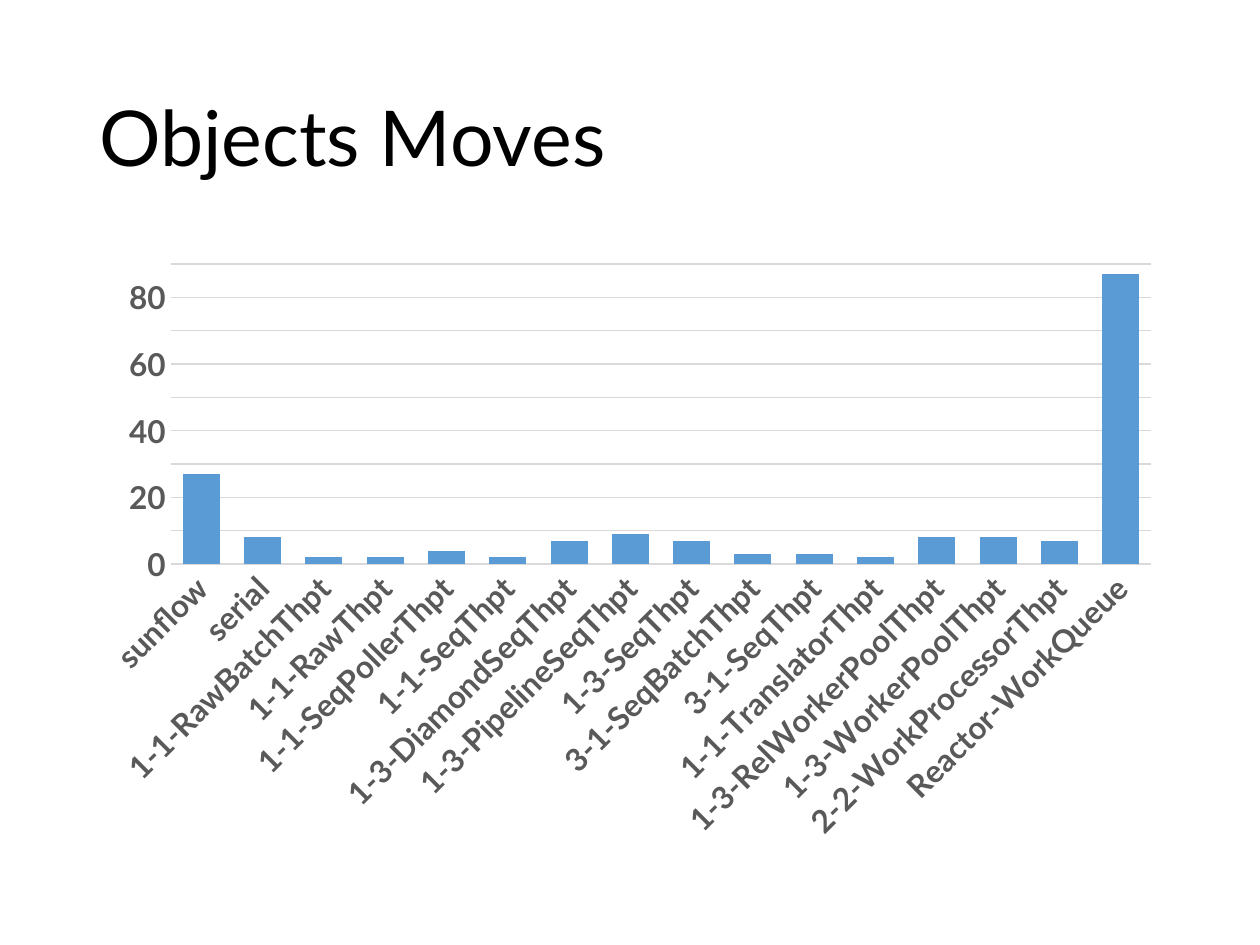
from pptx import Presentation
from pptx.chart.data import CategoryChartData
from pptx.dml.color import RGBColor
from pptx.enum.chart import XL_CHART_TYPE, XL_TICK_MARK
from pptx.enum.text import MSO_ANCHOR, PP_ALIGN
from pptx.util import Cm, Pt

TITLE = "Objects Moves"
MOVES = {
    "sunflow": 27,
    "serial": 8,
    "1-1-RawBatchThpt": 2,
    "1-1-RawThpt": 2,
    "1-1-SeqPollerThpt": 4,
    "1-1-SeqThpt": 2,
    "1-3-DiamondSeqThpt": 7,
    "1-3-PipelineSeqThpt": 9,
    "1-3-SeqThpt": 7,
    "3-1-SeqBatchThpt": 3,
    "3-1-SeqThpt": 3,
    "1-1-TranslatorThpt": 2,
    "1-3-RelWorkerPoolThpt": 8,
    "1-3-WorkerPoolThpt": 8,
    "2-2-WorkProcessorThpt": 7,
    "Reactor-WorkQueue": 87,
}
FONT = "Lato"
BLACK, LABEL_GREY, LINE_GREY, BAR_BLUE = "000000", "595959", "D9D9D9", "5B9BD5"
LEFT, WIDTH = Cm(1.75), Cm(21.9)


def style_font(font, size, color, bold=False):
    font.name = FONT
    font.size = Pt(size)
    font.bold = bold
    font.color.rgb = RGBColor.from_string(color)


def style_line(line):
    line.color.rgb = RGBColor.from_string(LINE_GREY)
    line.width = Pt(0.75)


def add_title(slide):
    title = slide.shapes.title
    title.left, title.top, title.width, title.height = LEFT, Cm(1.02), WIDTH, Cm(3.68)
    title.text_frame.vertical_anchor = MSO_ANCHOR.MIDDLE
    paragraph = title.text_frame.paragraphs[0]
    paragraph.alignment = PP_ALIGN.LEFT
    paragraph.line_spacing = 0.9
    run = paragraph.add_run()
    run.text = TITLE
    style_font(run.font, 44, BLACK)


def add_moves_chart(slide):
    moves = CategoryChartData()
    moves.categories = list(MOVES)
    moves.add_series("Series 1", list(MOVES.values()))
    chart = slide.shapes.add_chart(
        XL_CHART_TYPE.COLUMN_CLUSTERED, LEFT, Cm(5.08), WIDTH, Cm(12.09), moves
    ).chart
    chart.has_legend = False
    chart.has_title = False
    style_font(chart.font, 18, BLACK, bold=True)

    bars = chart.plots[0]
    bars.gap_width = 66
    bars.overlap = -27
    bars.vary_by_categories = False
    fill = bars.series[0].format.fill
    fill.solid()
    fill.fore_color.rgb = RGBColor.from_string(BAR_BLUE)

    benchmarks, counts = chart.category_axis, chart.value_axis
    for axis in (benchmarks, counts):
        axis.major_tick_mark = axis.minor_tick_mark = XL_TICK_MARK.NONE
        style_font(axis.tick_labels.font, 18, LABEL_GREY, bold=True)
    style_line(benchmarks.format.line)
    # Slant the category labels by 45 degrees (in 1/60000 degree).
    benchmarks._element.txPr.bodyPr.set("rot", str(-45 * 60000))

    counts.minimum_scale, counts.maximum_scale, counts.major_unit = 0, 90, 10
    counts.format.line.fill.background()
    counts.has_major_gridlines = True
    style_line(counts.major_gridlines.format.line)


def main():
    deck = Presentation()
    deck.slide_width, deck.slide_height = Cm(25.4), Cm(19.05)
    slide = deck.slides.add_slide(deck.slide_layouts[5])
    add_title(slide)
    add_moves_chart(slide)
    deck.save("out.pptx")


if __name__ == "__main__":
    main()
